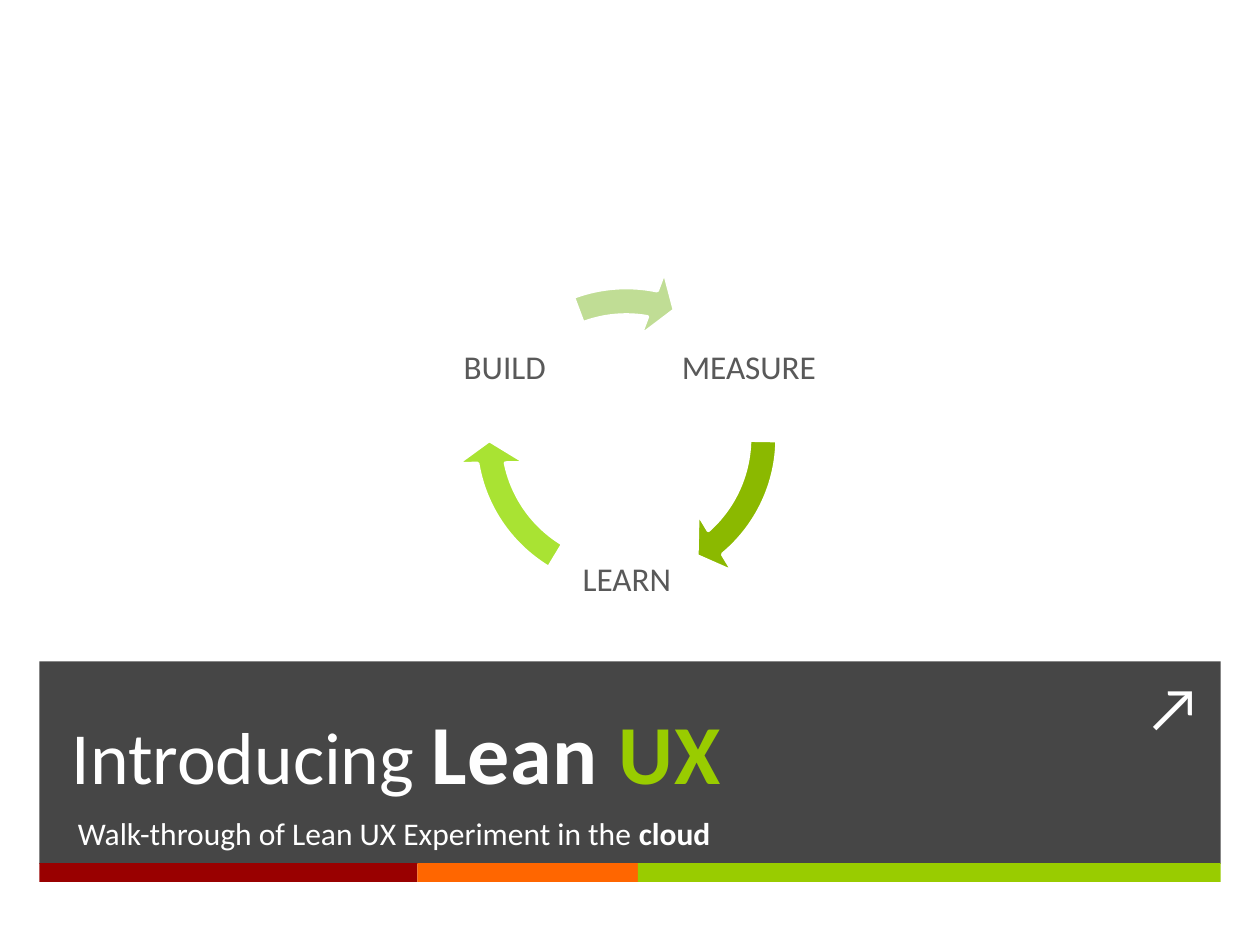
"""Build the Lean UX title slide with its build-measure-learn cycle."""
from lxml import etree
from pptx import Presentation
from pptx.dml.color import RGBColor
from pptx.enum import shapes, text
from pptx.oxml import parse_xml
from pptx.oxml.ns import qn
from pptx.util import Pt

NS = 'xmlns:a="http://schemas.openxmlformats.org/drawingml/2006/main"'
OUTLINE = f'<a:ln {NS} w="12700"><a:solidFill><a:srgbClr val="2E2E2E"/></a:solidFill></a:ln>'
SHADOW = (f'<a:effectLst {NS}><a:outerShdw blurRad="38100" dist="25400" dir="2700000">'
          '<a:srgbClr val="000000"><a:alpha val="50000"/></a:srgbClr></a:outerShdw></a:effectLst>')


def paint(fmt, color):
    fmt.solid()
    fmt.fore_color.rgb = RGBColor.from_string(color)


def write(sp, content, size=18, color="FFFFFF", bold=False, effects=False,
          align=text.PP_ALIGN.LEFT, anchor=text.MSO_ANCHOR.TOP, wrap=True):
    tf = sp.text_frame
    tf.word_wrap = wrap
    tf.auto_size = text.MSO_AUTO_SIZE.NONE
    tf.vertical_anchor = anchor
    p = tf.paragraphs[0]
    p.alignment = align
    r = p.add_run()
    r.text = content
    r.font.size, r.font.bold, r.font.name = Pt(size), bold, "Calibri"
    paint(r.font.fill, color)
    if effects:
        rPr = r.font._element
        rPr.set("spc", "50")
        rPr.insert(0, parse_xml(OUTLINE))
        rPr.find(qn("a:solidFill")).addnext(parse_xml(SHADOW))
    return p


prs = Presentation()
prs.slide_width, prs.slide_height = Pt(720), Pt(540)
s = prs.slides.add_slide(prs.slide_layouts[5])

banner = s.shapes.add_shape(shapes.MSO_SHAPE.RECTANGLE, Pt(22.5), Pt(378), Pt(675), Pt(115.7))
banner.shadow.inherit = False
banner.line.fill.background()
paint(banner.fill, "262626")
rgb = banner._element.spPr.find(qn("a:solidFill")).find(qn("a:srgbClr"))
etree.SubElement(rgb, qn("a:alpha")).set("val", "85000")

left = 22.5
for width, color in [(216, "990000"), (126, "FF6600"), (333, "99CC00")]:
    stripe = s.shapes.add_shape(shapes.MSO_SHAPE.RECTANGLE, Pt(left), Pt(493.2), Pt(width), Pt(10.8))
    stripe.shadow.inherit = False
    stripe.line.fill.background()
    paint(stripe.fill, color)
    left += width

corner = s.shapes.add_textbox(Pt(648), Pt(378), Pt(46), Pt(51))
write(corner, "↗", size=36, wrap=False)

title = s.shapes.title
title.left, title.top, title.width, title.height = Pt(33.8), Pt(378.7), Pt(612), Pt(82.8)
s.shapes._spTree.append(title._element)
bottom = text.MSO_ANCHOR.BOTTOM
write(title, "Introducing ", size=42, anchor=bottom)
write(title, "Lean ", size=48, color="FEFEFE", bold=True, effects=True, anchor=bottom)
write(title, "UX", size=48, color="99CC00", bold=True, effects=True, anchor=bottom)

subtitle = s.shapes.add_textbox(Pt(37.4), Pt(461.5), Pt(609), Pt(31.7))
write(subtitle, "Walk-through of Lean UX Experiment in the ")
write(subtitle, "cloud", bold=True)

steps = [
    ("MEASURE", 386.6, 169.2, "8BB900", 29.64, 0.52),
    ("LEARN", 316.8, 290.2, "A9E333", 101.72, 72.6),
    ("BUILD", 247, 169.2, "C0DD95", 168.57, 149.67),
]
for name, x, y, color, end, start in steps:
    label = s.shapes.add_textbox(Pt(x), Pt(y), Pt(82.8), Pt(82.8))
    tf = label.text_frame
    tf.margin_left = tf.margin_right = tf.margin_top = tf.margin_bottom = Pt(2)
    p = write(label, name, size=19, color="595959",
              align=text.PP_ALIGN.CENTER, anchor=text.MSO_ANCHOR.MIDDLE)
    p.line_spacing = 0.9
    arrow = s.shapes.add_shape(shapes.MSO_SHAPE.CIRCULAR_ARROW, Pt(260), Pt(152.6), Pt(195.8), Pt(195.8))
    arrow.shadow.inherit = False
    paint(arrow.fill, color)
    paint(arrow.line.fill, "FFFFFF")
    arrow.line.width = Pt(2)
    for i, value in enumerate([0.08, 5.76, end, start, 0.1]):
        arrow.adjustments[i] = value

prs.save("out.pptx")
